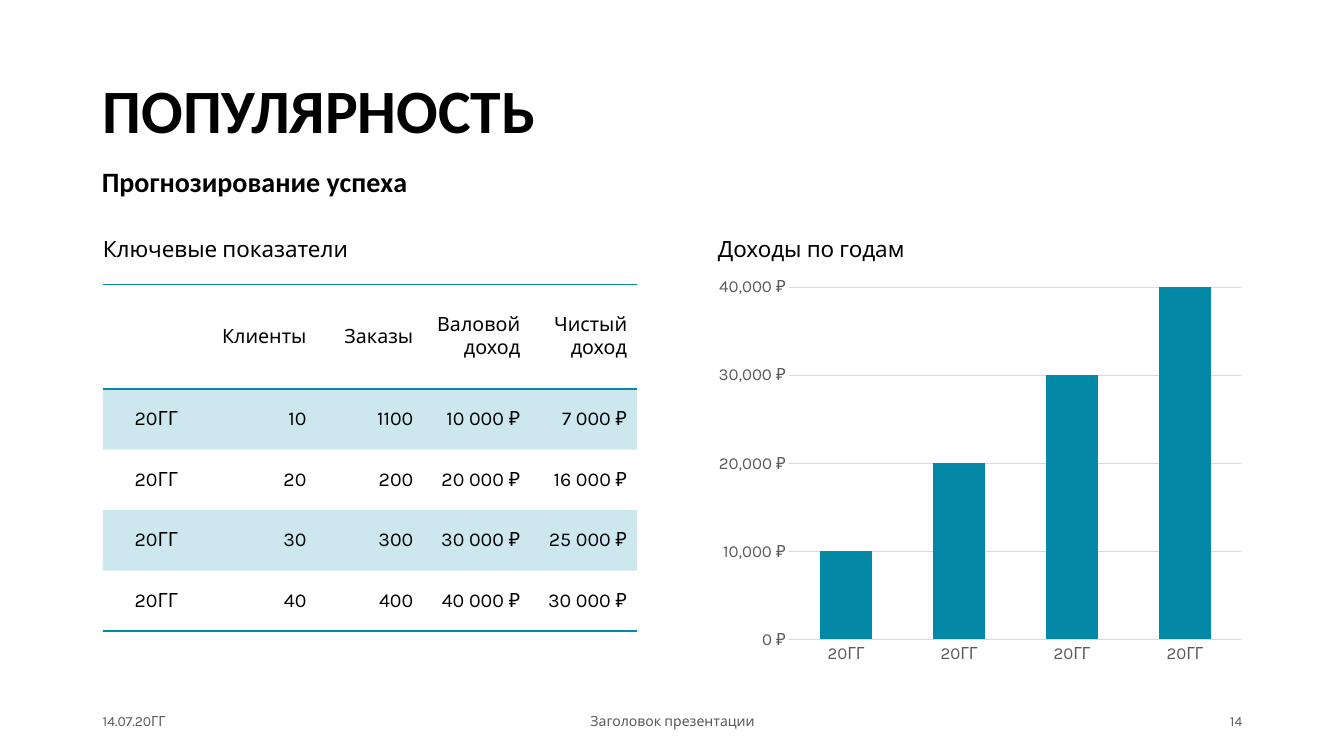
from pptx import Presentation
from pptx.chart.data import CategoryChartData
from pptx.dml.color import RGBColor
from pptx.enum.chart import XL_CHART_TYPE, XL_TICK_MARK
from pptx.enum.text import MSO_ANCHOR, MSO_AUTO_SIZE, PP_ALIGN
from pptx.oxml import parse_xml
from pptx.oxml.ns import nsdecls, qn
from pptx.util import Inches, Pt

TEAL, BLACK, GRAY, GRID = "0388A6", "000000", "595959", "D9D9D9"
NO_GRID_STYLE = "{2D5ABB26-0587-4C30-8999-92F81FD0307C}"
HEADERS = ["", "Клиенты", "Заказы", "Валовой доход", "Чистый доход"]
METRICS = [
    ["20ГГ", "10", "1100", "10 000 ₽", "7 000 ₽"],
    ["20ГГ", "20", "200", "20 000 ₽", "16 000 ₽"],
    ["20ГГ", "30", "300", "30 000 ₽", "25 000 ₽"],
    ["20ГГ", "40", "400", "40 000 ₽", "30 000 ₽"],
]
REVENUE = [10000, 20000, 30000, 40000]


def color(value):
    """Turn a hex string into a colour."""
    return RGBColor.from_string(value)


class SlideBuilder:
    """Hold the page and its style, and draw each kind of element."""

    def __init__(self, page, font="Karla"):
        """Keep the page and the text font."""
        self.page = page
        self.font = font

    def style(self, font, size, hue, bold=False, name=None):
        """Format a font."""
        font.name = name or self.font
        font.size = Pt(size)
        font.bold = bold
        font.color.rgb = color(hue)

    def add_text(self, frame, text, size, hue=BLACK, align=PP_ALIGN.LEFT, **font):
        """Put one paragraph into a text frame."""
        para = frame.paragraphs[0]
        para.alignment = align
        span = para.add_run()
        span.text = text
        self.style(span.font, size, hue, **font)
        return para

    def placeholder(self, index, text, place, size, anchor, **font):
        """Move a template placeholder and fill it without a bullet."""
        box = self.page.placeholders[index]
        box.left, box.top, box.width, box.height = map(Inches, place)
        frame = box.text_frame
        frame.word_wrap = True
        frame.auto_size = MSO_AUTO_SIZE.NONE
        frame.vertical_anchor = anchor
        para = self.add_text(frame, text, size, **font)
        para.line_spacing = 0.9
        para.space_before = Pt(0)
        properties = para._p.get_or_add_pPr()
        properties.set("marL", "0")
        properties.set("indent", "0")
        properties.append(parse_xml(f"<a:buNone {nsdecls('a')}/>"))

    def footer(self, text, left, width, align):
        """Add a small text at the foot of the page."""
        box = self.page.shapes.add_textbox(
            Inches(left), Inches(6.95), Inches(width), Inches(0.4))
        box.text_frame.word_wrap = True
        box.text_frame.vertical_anchor = MSO_ANCHOR.MIDDLE
        self.add_text(box.text_frame, text, 10, GRAY, align)

    def border(self, cell, side):
        """Draw a teal line on one side of a cell."""
        cell._tc.get_or_add_tcPr().append(parse_xml(
            f'<a:{side} {nsdecls("a")} w="12700"><a:solidFill>'
            f'<a:srgbClr val="{TEAL}"/></a:solidFill></a:{side}>'))

    def band(self, cell):
        """Fill a cell with translucent teal."""
        cell.fill.solid()
        cell.fill.fore_color.rgb = color(TEAL)
        fill = cell._tc.get_or_add_tcPr().find(qn("a:solidFill"))
        fill[0].append(parse_xml(f'<a:alpha {nsdecls("a")} val="20000"/>'))

    def table(self, rows, left, top, column_width, header_height, row_height):
        """Add a banded table with ruled header and foot."""
        height = header_height + row_height * (len(rows) - 1)
        table = self.page.shapes.add_table(
            len(rows), len(rows[0]), Inches(left), Inches(top),
            Inches(column_width * len(rows[0])), Inches(height)).table
        table._tbl.tblPr.find(qn("a:tableStyleId")).text = NO_GRID_STYLE
        for column in table.columns:
            column.width = Inches(column_width)
        for r, values in enumerate(rows):
            table.rows[r].height = Inches(row_height if r else header_height)
            for c, text in enumerate(values):
                cell = table.cell(r, c)
                cell.vertical_anchor = MSO_ANCHOR.MIDDLE
                if r == 0:
                    self.border(cell, "lnT")
                if r in (0, len(rows) - 1):
                    self.border(cell, "lnB")
                if r % 2:
                    self.band(cell)
                else:
                    cell.fill.background()
                if text:
                    align = PP_ALIGN.RIGHT if c else PP_ALIGN.CENTER
                    self.add_text(cell.text_frame, text, 14, align=align)

    def chart(self, categories, values, place):
        """Add a column chart of yearly revenue."""
        data = CategoryChartData()
        data.categories = categories
        data.add_series("Series 1", values)
        chart = self.page.shapes.add_chart(
            XL_CHART_TYPE.COLUMN_CLUSTERED, *map(Inches, place), data).chart
        self.style(chart.font, 10, BLACK)
        chart.has_legend = False
        chart.has_title = False
        plot = chart.plots[0]
        plot.vary_by_categories = False
        plot.gap_width = 118
        plot.overlap = -3
        fill = plot.series[0].format.fill
        fill.solid()
        fill.fore_color.rgb = color(TEAL)
        years, amounts = chart.category_axis, chart.value_axis
        for axis in (years, amounts):
            axis.major_tick_mark = XL_TICK_MARK.NONE
            axis.minor_tick_mark = XL_TICK_MARK.NONE
            self.style(axis.tick_labels.font, 12, GRAY)
        amounts.minimum_scale = 0
        amounts.maximum_scale = 40000
        amounts.major_unit = 10000
        amounts.has_major_gridlines = True
        amounts.tick_labels.number_format = r'#,##0\ "₽"'
        amounts.tick_labels.number_format_is_linked = False
        amounts.format.line.fill.background()
        for line in (years.format.line, amounts.major_gridlines.format.line):
            line.color.rgb = color(GRID)
            line.width = Pt(0.75)


def main():
    """Build the slide and save the deck."""
    deck = Presentation()
    deck.slide_width, deck.slide_height = Inches(13.33), Inches(7.5)
    page = deck.slides.add_slide(deck.slide_layouts[4])
    builder = SlideBuilder(page)
    builder.placeholder(0, "ПОПУЛЯРНОСТЬ", (0.92, 0.4, 11.5, 1.45), 44,
                        MSO_ANCHOR.MIDDLE, bold=True, name="Calibri")
    builder.placeholder(2, "Прогнозирование успеха", (0.91, 1.62, 9.1, 0.4), 20,
                        MSO_ANCHOR.TOP, bold=True, name="Calibri")
    builder.placeholder(1, "Ключевые показатели", (0.92, 1.85, 5.64, 0.8), 16,
                        MSO_ANCHOR.BOTTOM)
    builder.placeholder(3, "Доходы по годам", (7.02, 1.85, 5.67, 0.8), 16,
                        MSO_ANCHOR.BOTTOM)
    unused = page.placeholders[4].element
    unused.getparent().remove(unused)
    builder.table([HEADERS] + METRICS, 1.02, 2.82, 1.06, 1.04, 0.6)
    builder.chart([row[0] for row in METRICS], REVENUE, (7.02, 2.67, 5.4, 3.99))
    builder.footer("14.07.20ГГ", 0.92, 3, PP_ALIGN.LEFT)
    builder.footer("Заголовок презентации", 4.42, 4.5, PP_ALIGN.CENTER)
    builder.footer("14", 9.42, 3, PP_ALIGN.RIGHT)
    deck.save("out.pptx")


if __name__ == "__main__":
    main()
